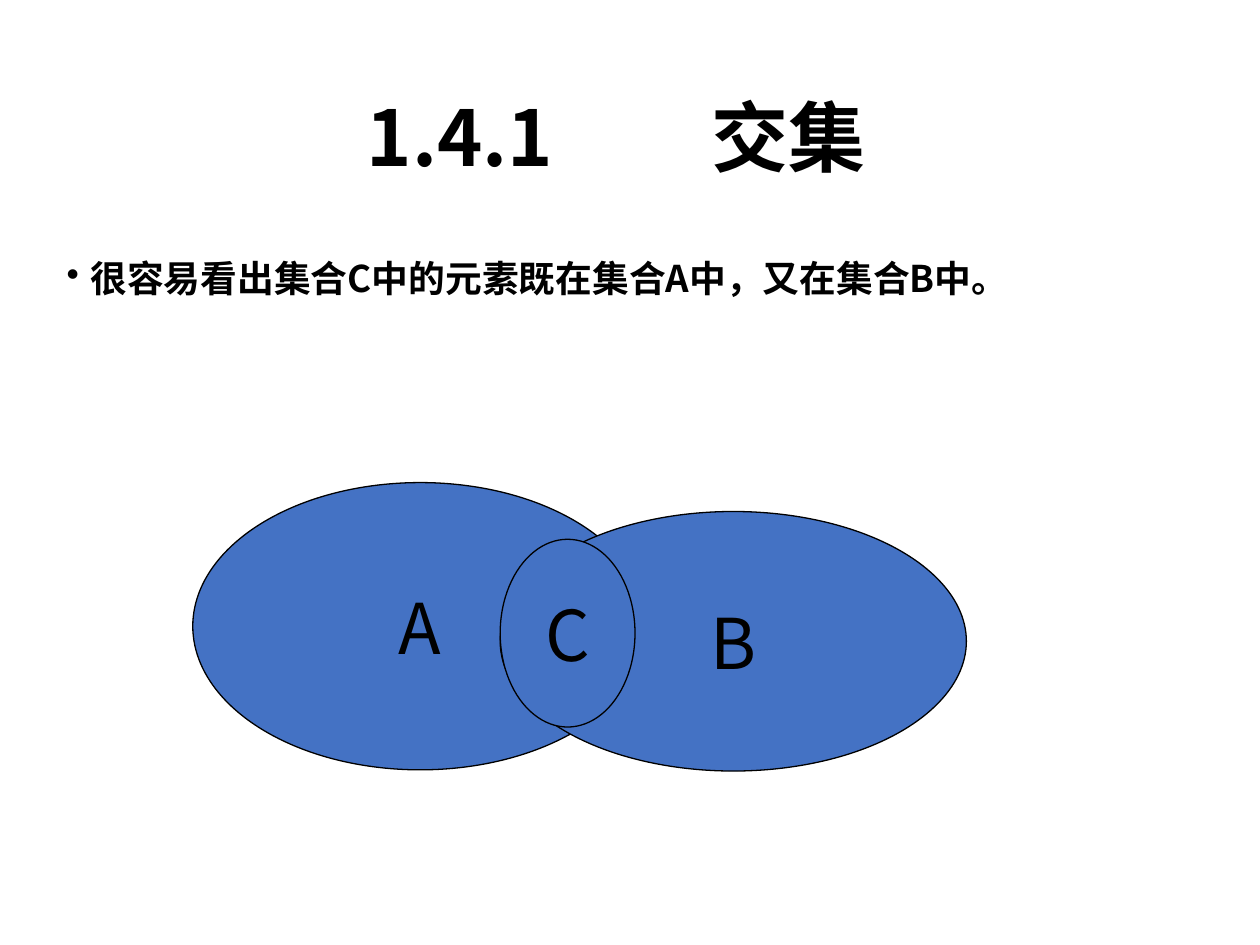
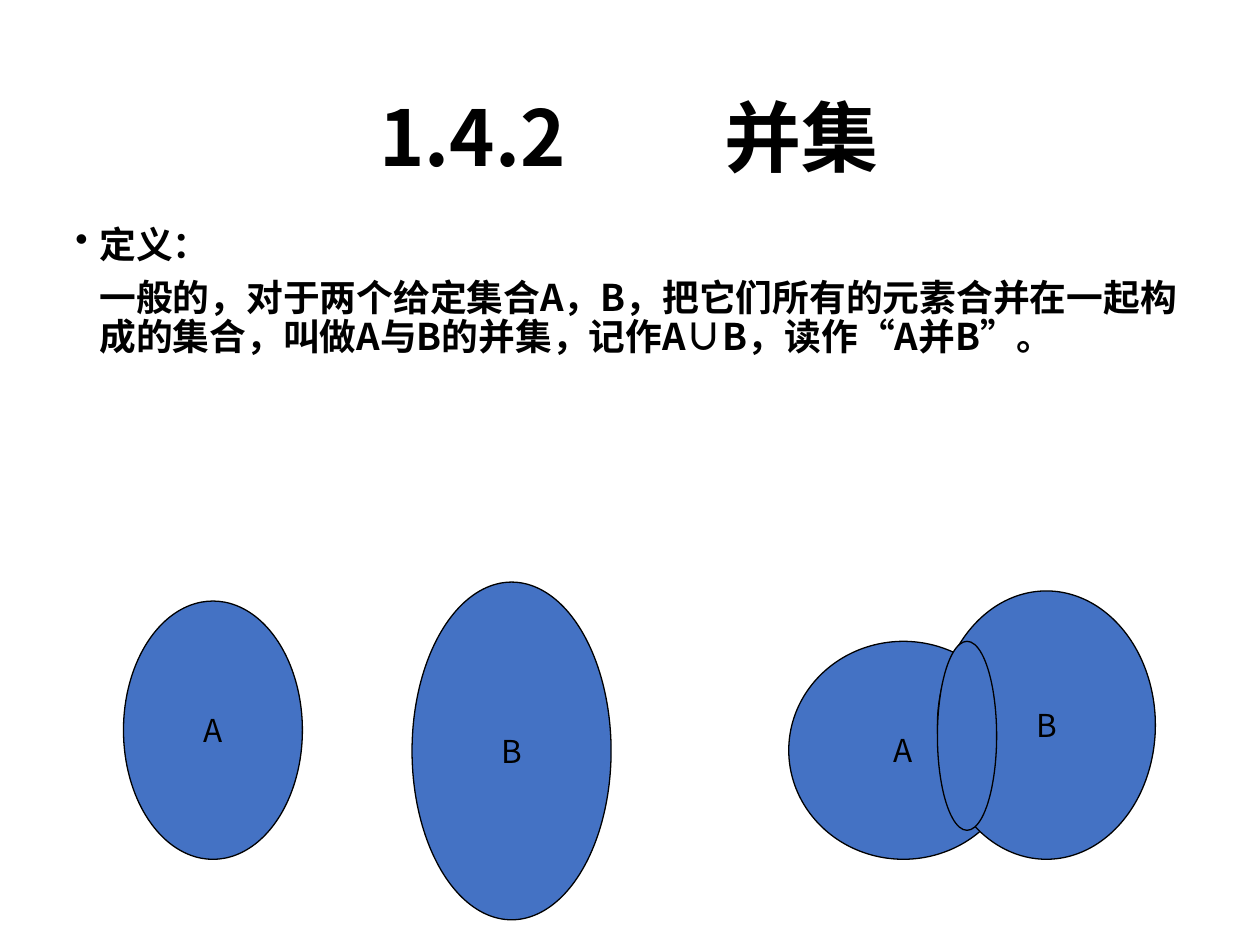
from lxml import etree
from pptx import Presentation
from pptx.dml.color import RGBColor
from pptx.enum.shapes import MSO_SHAPE
from pptx.enum.text import MSO_ANCHOR, PP_ALIGN
from pptx.oxml.ns import qn
from pptx.util import Inches, Pt

BLACK = RGBColor(0x00, 0x00, 0x00)
SET_BLUE = RGBColor(0x44, 0x72, 0xC4)
FONT = "Noto Sans CJK SC"
OVAL = MSO_SHAPE.OVAL
MIDDLE = MSO_ANCHOR.MIDDLE
CENTER = PP_ALIGN.CENTER

HANGING = Inches(0.19)
TITLE_TAB = Inches(2.74)

# Each diagram lists its sets as label, left, top, width, height.
SLIDES = [
    {
        "title": "1.4.1\t交集",
        "title_inset": 2.22,
        "body_place": (0.43, 2.02, 9, 1.13),
        "body": [("很容易看出集合C中的元素既在集合A中，又在集合B中。", True)],
        "label_size": 40,
        "diagrams": [
            [("A", 1.53, 3.83, 3.61, 2.28),
             ("B", 3.97, 4.06, 3.7, 2.06),
             ("C", 3.97, 4.28, 1.07, 1.49)],
        ],
    },
    {
        "title": "1.4.2\t并集",
        "title_inset": 2.32,
        "body_place": (0.5, 1.75, 9, 2.47),
        "body": [
            ("定义：", True),
            ("一般的，对于两个给定集合A，B，把它们所有的元素合并在一起构成的集合，"
             "叫做A与B的并集，记作A∪B，读作“A并B”。", False),
        ],
        "label_size": 18,
        "diagrams": [
            [("A", 0.98, 4.77, 1.42, 2.05),
             ("B", 3.27, 4.62, 1.58, 2.68)],
            [("A", 6.26, 5.09, 1.82, 1.73),
             ("B", 7.44, 4.69, 1.73, 2.13),
             ("", 7.44, 5.09, 0.47, 1.5)],
        ],
    },
]


def add_run(paragraph, text, size, bold=False):
    """Add black text in the deck font, for Latin and Chinese letters alike."""
    run = paragraph.add_run()
    run.text = text
    run.font.size = Pt(size)
    run.font.bold = bold
    run.font.name = FONT
    run.font.color.rgb = BLACK
    etree.SubElement(run.font._element, qn("a:ea"), typeface=FONT)


prs = Presentation()
prs.slide_width = Inches(10)
prs.slide_height = Inches(7.5)
blank = prs.slide_layouts[6]

for content in SLIDES:
    slide = prs.slides.add_slide(blank)

    title_box = slide.shapes.add_textbox(
        Inches(0.69), Inches(0.4), Inches(8.63), Inches(1.45))
    title = title_box.text_frame
    title.word_wrap = True
    title.vertical_anchor = MIDDLE
    title.margin_left = Inches(content["title_inset"])
    heading = title.paragraphs[0]
    tabs = etree.SubElement(heading._p.get_or_add_pPr(), qn("a:tabLst"))
    etree.SubElement(tabs, qn("a:tab"), pos=str(TITLE_TAB), algn="l")
    heading.line_spacing = 0.9
    add_run(heading, content["title"], 44, bold=True)

    body_box = slide.shapes.add_textbox(*map(Inches, content["body_place"]))
    body = body_box.text_frame
    body.word_wrap = True
    for index, (text, bulleted) in enumerate(content["body"]):
        paragraph = body.add_paragraph() if index else body.paragraphs[0]
        properties = paragraph._p.get_or_add_pPr()
        properties.set("marL", str(HANGING))
        if bulleted:
            properties.set("indent", str(-HANGING))
            etree.SubElement(properties, qn("a:buChar"), char="•")
        paragraph.line_spacing = 0.9
        if index:
            paragraph.space_before = Pt(7.5)
        add_run(paragraph, text, 21, bold=True)

    for diagram in content["diagrams"]:
        group = slide.shapes.add_group_shape()
        for label, *place in diagram:
            ellipse = group.shapes.add_shape(OVAL, *map(Inches, place))
            ellipse.shadow.inherit = False
            ellipse.fill.solid()
            ellipse.fill.fore_color.rgb = SET_BLUE
            ellipse.line.color.rgb = BLACK
            ellipse.line.width = Pt(0.75)
            if label:
                frame = ellipse.text_frame
                frame.word_wrap = False
                frame.vertical_anchor = MIDDLE
                frame.paragraphs[0].alignment = CENTER
                add_run(frame.paragraphs[0], label, content["label_size"])

prs.save("out.pptx")
